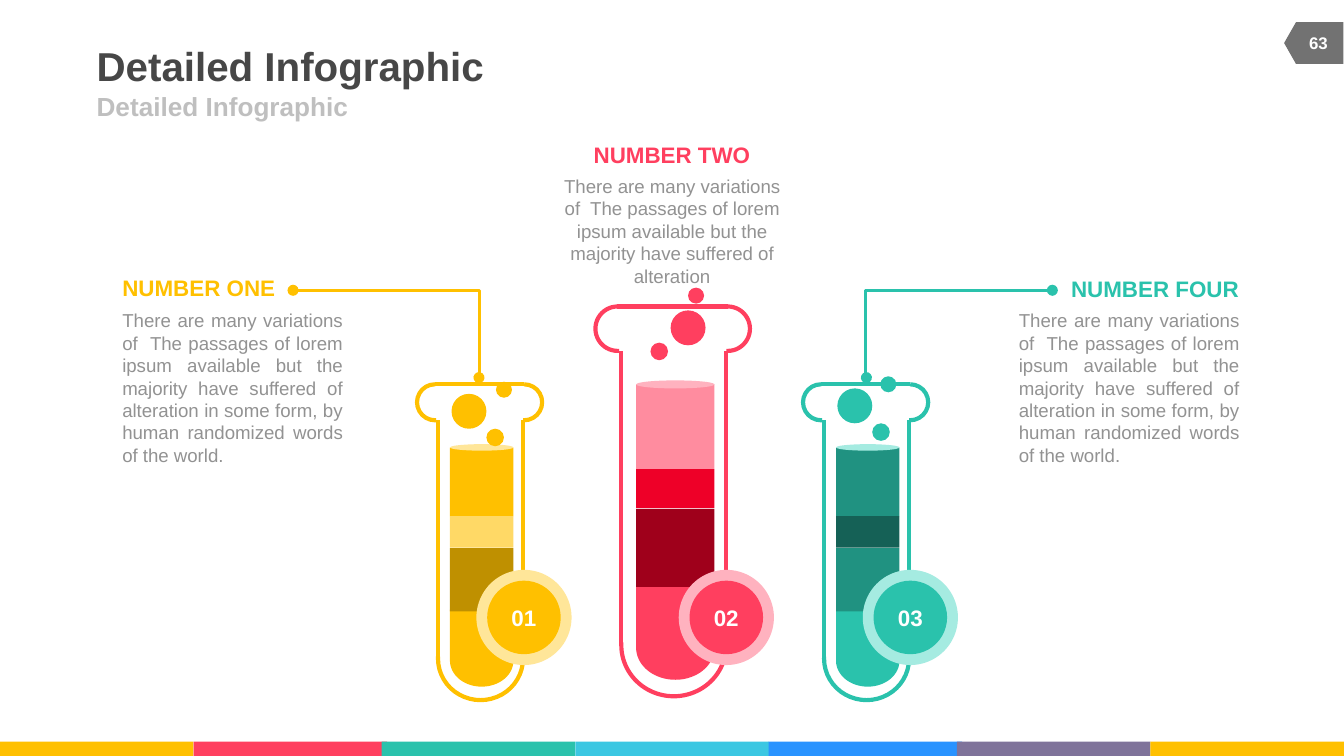
from dataclasses import dataclass
from math import cos, pi, sin

from lxml import etree
from pptx import Presentation
from pptx.dml.color import RGBColor
from pptx.enum import shapes as shp, text as txt
from pptx.oxml import ns
from pptx.util import Pt

YELLOW, RED, TEAL = "FFC000", "FF3F5F", "2AC2AC"
Kind = shp.MSO_SHAPE
Align = txt.PP_ALIGN
Anchor = txt.MSO_ANCHOR
INTRO = "There are many variations of  The passages of lorem ipsum available but the majority have suffered of alteration"
FULL = INTRO + " in some form, by human randomized words of the world."


@dataclass
class Tube:
    number: str
    left: float  # left edge of the liquid
    rim: float  # height of the rim line
    scale: float
    color: str
    pale: str
    layers: tuple[str, str, str]  # top to bottom, above the rounded end
    badge: float
    bubbles: tuple[tuple[float, float], ...]


@dataclass
class Note:
    heading: str
    body: str
    color: str
    heading_box: tuple[float, float, float, float]
    body_box: tuple[float, float, float, float]
    heading_align: Align
    body_align: Align


TUBES = [
    Tube("02", 340.8, 164.2, 1, RED, "FFB2BF", ("FF8C9F", "EE0028", "9F001B"),
         363.6, ((359.3, 166.3), (348.5, 183.6), (368.6, 154.1))),
    Tube("03", 447.9, 205.9, 0.81, TEAL, "A5EBE1", ("209281", "156156", "209281"),
         462.2, ((448.6, 208.1), (467.3, 226.8), (471.6, 201.6))),
    Tube("01", 241.1, 205.9, 0.81, YELLOW, "FFE699", (YELLOW, "FFD966", "BF9000"),
         255.2, ((241.9, 211), (260.6, 229.7), (265.7, 204.5))),
]
NOTES = [
    Note("NUMBER ONE", FULL, YELLOW, (65.5, 147, 82.8, 14.4), (65.5, 165.6, 118, 85),
         Align.LEFT, Align.JUSTIFY),
    Note("NUMBER FOUR", FULL, TEAL, (573.1, 147.6, 90.7, 14.4), (545.8, 165.6, 118, 85),
         Align.RIGHT, Align.JUSTIFY),
    Note("NUMBER TWO", INTRO, RED, (317.5, 75.6, 85, 14.4), (301, 93.6, 118, 60.5),
         Align.CENTER, Align.CENTER),
]
LAYER_SPANS = ((41.8, 45.4), (87.1, 20.9), (108.4, 41.8))
BUBBLE_SIZES = (18.7, 9.4, 8.6)
FOOTER = [(0, YELLOW), (103.7, RED), (204.5, TEAL), (308.2, "3BC7E2"),
          (411.8, "2993FF"), (512.6, "7F739A"), (616.3, YELLOW)]

prs = Presentation()
prs.slide_width, prs.slide_height = Pt(720), Pt(405)
slide = prs.slides.add_slide(prs.slide_layouts[6])


def paint(target, color: str) -> None:
    """Color a fill (made solid first) or a font."""
    if hasattr(target, "solid"):
        target.solid()
        target.fore_color.rgb = RGBColor.from_string(color)
    else:
        target.color.rgb = RGBColor.from_string(color)


def solid(shape, color: str) -> None:
    shape.shadow.inherit = False
    paint(shape.fill, color)
    shape.line.fill.background()


def block(kind, x: float, y: float, w: float, h: float, color: str):
    shape = slide.shapes.add_shape(kind, Pt(x), Pt(y), Pt(w), Pt(h))
    solid(shape, color)
    return shape


def write(shape, words: str, size: float, color: str, align=Align.LEFT,
          bold: bool = True, wrap: bool = True, anchor=Anchor.TOP) -> None:
    frame = shape.text_frame
    frame.margin_left = frame.margin_right = frame.margin_top = frame.margin_bottom = 0
    frame.word_wrap, frame.vertical_anchor = wrap, anchor
    frame.text = words
    line = frame.paragraphs[0]
    line.alignment = align
    font = line.runs[0].font
    font.name, font.size, font.bold = "Arial", Pt(size), bold
    paint(font, color)


def label(box: tuple[float, float, float, float], *args, **options) -> None:
    write(slide.shapes.add_textbox(*map(Pt, box)), *args, **options)


def stroke(x1: float, y1: float, x2: float, y2: float, color: str,
           width: float = 2.25, kind=shp.MSO_CONNECTOR.STRAIGHT):
    line = slide.shapes.add_connector(kind, Pt(x1), Pt(y1), Pt(x2), Pt(y2))
    line.line.width = Pt(width)
    paint(line.line.fill, color)
    etree.SubElement(line._element.spPr, ns.qn("a:effectLst"))
    return line


def arc(x: float, y: float, w: float, h: float, color: str,
        start: float, end: float, turn: float = 0) -> None:
    """Draw an open arc clockwise between two angles in degrees."""
    curve = slide.shapes.add_shape(Kind.ARC, Pt(x), Pt(y), Pt(w), Pt(h))
    curve.shadow.inherit = False
    curve.fill.background()
    curve.line.width = Pt(2.25)
    paint(curve.line.fill, color)
    curve.adjustments[0], curve.adjustments[1] = start * 0.6, end * 0.6
    curve.rotation = turn


def rounded_end(x: float, y: float, scale: float, color: str) -> None:
    radius, depth, height = 21 * scale, 33.8 * scale, 17.2 * scale
    angles = [pi * i / 40 for i in range(41)]
    curve = [(Pt(x + radius + radius * cos(a)), Pt(y + depth + height * sin(a))) for a in angles]
    builder = slide.shapes.build_freeform(Pt(x), Pt(y))
    builder.add_line_segments([(Pt(x + 2 * radius), Pt(y)), *curve], close=True)
    solid(builder.convert_to_shape(), color)


def draw_tube(tube: Tube) -> None:
    s, color = tube.scale, tube.color

    def px(x: float) -> float:
        return tube.left + x * s

    def py(y: float) -> float:
        return tube.rim + y * s

    # Liquid
    rounded_end(px(0), py(149), s, color)
    for (top, height), shade in zip(LAYER_SPANS, tube.layers):
        block(Kind.RECTANGLE, px(0), py(top), 42 * s, height * s, shade)
    block(Kind.OVAL, px(0), py(39.6), 42 * s, 4.3 * s, tube.pale)
    # Glass
    arc(px(-7.2), py(153.4), 54.7 * s, 56.2 * s, color, 270, 93, 90)
    for wall in (-7.9, 48.2):
        stroke(px(wall), py(181), px(wall), py(23.8), color)
    stroke(px(49), py(0), px(-10), py(0), color)
    arc(px(37.2), py(0), 23.8 * s, 23.8 * s, color, 270, 93.7)
    arc(px(-21.8), py(0), 23.8 * s, 23.8 * s, color, 86.3, 270)


def draw_lead(start_x: float, end_x: float, color: str) -> None:
    lead = stroke(start_x, 155.5, end_x, 202.3, color, 1.5, shp.MSO_CONNECTOR.ELBOW)
    bend = lead._element.spPr.find(ns.qn("a:prstGeom")).get_or_add_avLst()
    etree.SubElement(bend, ns.qn("a:gd"), name="adj1", fmla="val 100400")
    outline = lead.line._get_or_add_ln()
    for end in ("a:headEnd", "a:tailEnd"):
        etree.SubElement(outline, ns.qn(end), type="oval")


# Footer stripe
for x, color in FOOTER:
    block(Kind.RECTANGLE, x, 397.4, 103.7, 7.6, color)

# Page tag and titles
block(Kind.FLOWCHART_OFFPAGE_CONNECTOR, 692.6, 7.2, 22.3, 31.7, "727272").rotation = 90
label((51.8, 20.9, 444.2, 28.1), "Detailed Infographic", 21.6, "474747", anchor=Anchor.MIDDLE)
label((51.8, 49, 324, 15.8), "Detailed Infographic", 14, "BFBFBF", anchor=Anchor.MIDDLE)
label((691.2, 12.2, 30.2, 21.6), "63", 9, "FFFFFF", Align.CENTER, anchor=Anchor.MIDDLE)

# Test tubes and lead lines
for tube in TUBES:
    draw_tube(tube)
draw_lead(157, 256.6, YELLOW)
draw_lead(563.8, 464.2, TEAL)

# Notes
for note in NOTES:
    label(note.heading_box, note.heading, 12, note.color, note.heading_align, wrap=False)
    label(note.body_box, note.body, 10, "929292", note.body_align, bold=False)

# Number badges
for tube in TUBES:
    block(Kind.OVAL, tube.badge, 305.3, 51, 51, tube.pale)
    disc = block(Kind.OVAL, tube.badge + 5.8, 311.1, 39.4, 39.4, tube.color)
    write(disc, tube.number, 12, "FFFFFF", Align.CENTER, wrap=False, anchor=Anchor.MIDDLE)

# Bubbles
for tube in TUBES:
    for (x, y), size in zip(tube.bubbles, BUBBLE_SIZES):
        block(Kind.OVAL, x, y, size, size, tube.color)

prs.save("out.pptx")
